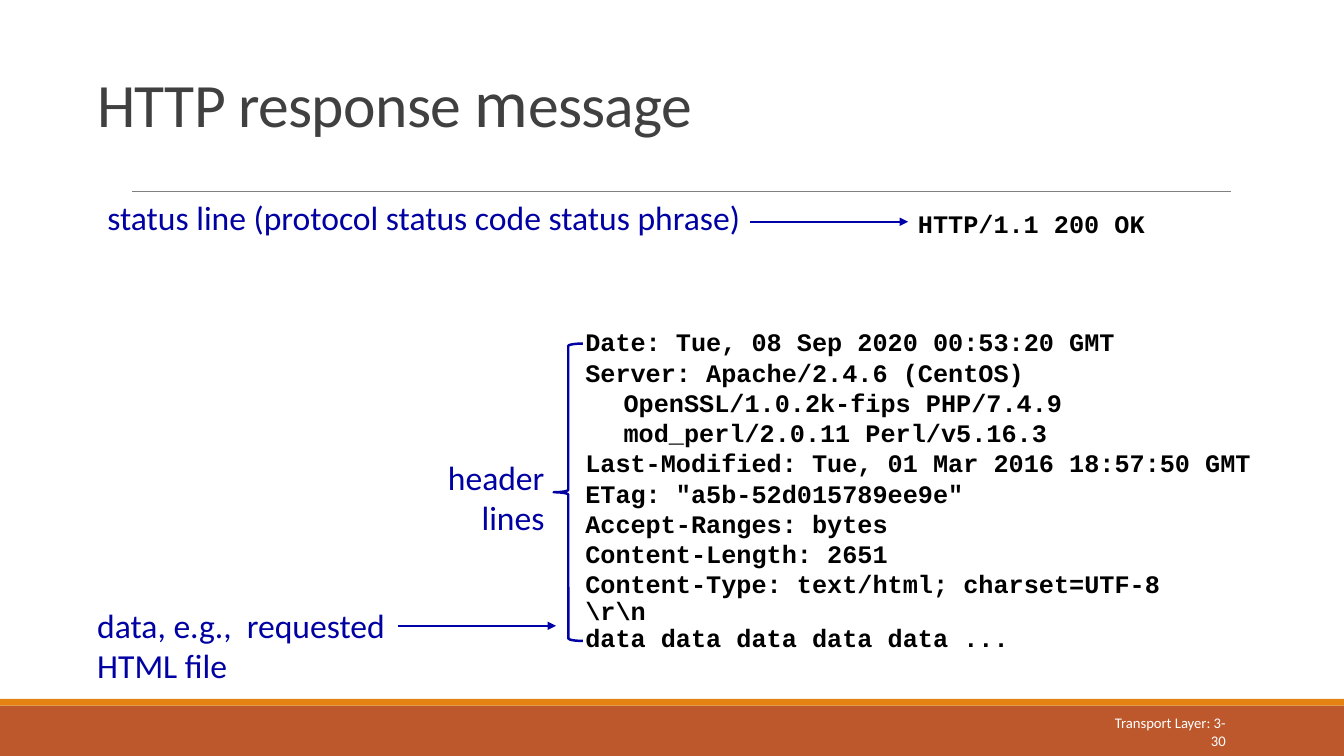
from lxml.etree import SubElement
from pptx import Presentation
from pptx.dml.color import RGBColor as Rgb
from pptx.enum.shapes import MSO_CONNECTOR as Wire, MSO_SHAPE as Form
from pptx.enum.text import MSO_ANCHOR as Anchor, PP_ALIGN as Align
from pptx.oxml.ns import qn
from pptx.util import Inches, Pt

COLS, ROWS = 160, 90
CELL = Inches(1) / 12
HANG = Inches(0.38)
HEX = {
    "rust": "BD582C", "amber": "E48312", "grey": "808080", "title": "404040",
    "label": "0000A3", "arrow": "0000A8", "code": "000000", "white": "FFFFFF",
}


def grid(*cells):
    return [round(n * CELL) for n in cells]


def write(area, lines, size, tint, face="Calibri", align=Align.LEFT,
          anchor=Anchor.TOP):
    """Fill a text box with one paragraph per line and return its frame."""
    frame = deck.shapes.add_textbox(*grid(*area)).text_frame
    frame.word_wrap = True
    frame.vertical_anchor = anchor
    for i, line in enumerate(lines):
        para = frame.paragraphs[0] if i == 0 else frame.add_paragraph()
        para.alignment = align
        # A line given as pairs sets its own size for each run
        for text, points in [(line, size)] if isinstance(line, str) else line:
            run = para.add_run()
            run.text = text
            run.font.name = face
            run.font.size = Pt(points)
            run.font.color.rgb = Rgb.from_string(HEX[tint])
    return frame


show = Presentation()
show.slide_width, show.slide_height = grid(COLS, ROWS)
deck = show.slides.add_slide(show.slide_layouts[6])

# Footer bars
for top, high, tint in [(84, 6, "rust"), (83.2, 0.8, "amber")]:
    bar = deck.shapes.add_shape(Form.RECTANGLE, *grid(0, top, COLS, high))
    bar.shadow.inherit = False
    bar.fill.solid()
    bar.fill.fore_color.rgb = Rgb.from_string(HEX[tint])
    bar.line.fill.background()

# Title rule and the two arrows
for left, right, row, tint, width, head in [
    (15.7, 146.5, 22.8, "grey", 0.5, False),
    (89.3, 108.1, 26.4, "arrow", 1.5, True),
    (47.4, 66.2, 74.5, "arrow", 1.5, True),
]:
    wire = deck.shapes.add_connector(Wire.STRAIGHT, *grid(left, row, right, row))
    wire.line.color.rgb = Rgb.from_string(HEX[tint])
    wire.line.width = Pt(width)
    if head:
        SubElement(wire.line._get_or_add_ln(), qn("a:tailEnd"), type="triangle")
    SubElement(wire._element.spPr, qn("a:effectLst"))

# Title and page number
title = write((10.4, 5.6, 138, 11.8),
              [[("HTTP response ", 44), ("m", 48), ("essage", 44)]],
              44, "title", anchor=Anchor.BOTTOM)
title.paragraphs[0].line_spacing = 0.85
for run in title.paragraphs[0].runs:
    run.font._element.set("spc", "-50")
write((130, 84.7, 17.1, 4.8), ["Transport Layer: 3-30"], 10.5, "white",
      align=Align.RIGHT, anchor=Anchor.MIDDLE)

# Labels
for area, lines, align in [
    ((11.6, 22.8, 78.8, 6),
     ["status line (protocol status code status phrase)"], Align.LEFT),
    ((52, 53.8, 14, 10.9), ["header", "lines"], Align.RIGHT),
    ((10.4, 71.4, 47.3, 10.9),
     ["data, e.g.,  requested", "HTML file"], Align.LEFT),
]:
    write(area, lines, 24, "label", align=align)

brace = deck.shapes.add_shape(Form.LEFT_BRACE, *grid(65.9, 40.9, 3.5, 35.4))
brace.shadow.inherit = False
brace.fill.background()
brace.line.color.rgb = Rgb.from_string(HEX["label"])
brace.line.width = Pt(1.75)

# Response message
reply = [
    "Date: Tue, 08 Sep 2020 00:53:20 GMT",
    "Server: Apache/2.4.6 (CentOS) OpenSSL/1.0.2k-fips PHP/7.4.9 "
    "mod_perl/2.0.11 Perl/v5.16.3",
    "Last-Modified: Tue, 01 Mar 2016 18:57:50 GMT",
    'ETag: "a5b-52d015789ee9e"',
    "Accept-Ranges: bytes",
    "Content-Length: 2651",
    "Content-Type: text/html; charset=UTF-8",
    "\\r\\n",
    "data data data data data ...",
]
for area, lines in [((108.1, 24.2, 35, 4.8), ["HTTP/1.1 200 OK"]),
                    ((68.5, 38.3, 82.8, 40.6), reply)]:
    frame = write(area, lines, 18, "code", "Courier New")
    for para in frame.paragraphs:
        props = para._p.get_or_add_pPr()
        props.set("marL", str(HANG))
        props.set("indent", str(-HANG))
        for run in para.runs:
            run.font.bold = True
    # The blank line and the body sit closer together
    for para in frame.paragraphs[7:]:
        para.line_spacing = 0.9

show.save("out.pptx")
